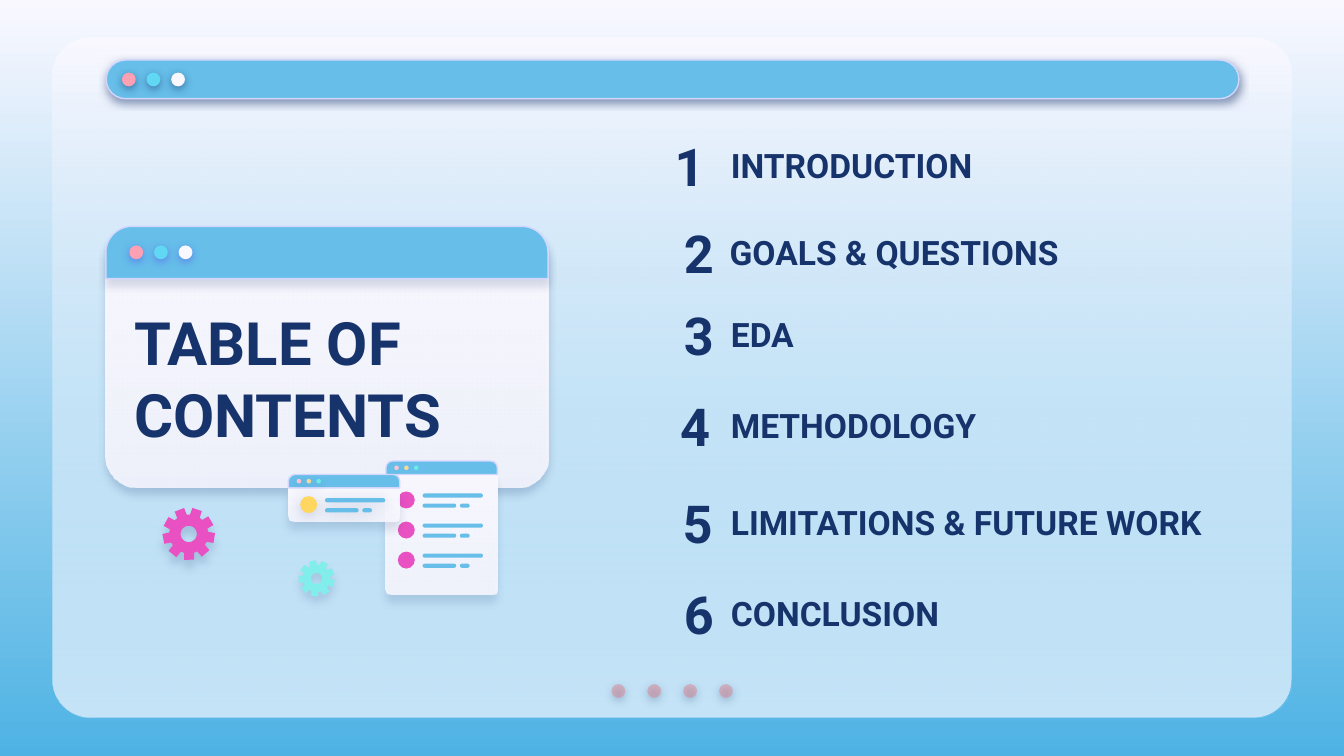
import math

from lxml import etree
from pptx import Presentation
from pptx.dml.color import RGBColor
from pptx.enum.shapes import MSO_SHAPE
from pptx.enum.text import MSO_ANCHOR, PP_ALIGN
from pptx.oxml.ns import qn
from pptx.util import Pt

ROUND, TOP_ROUND, OVAL = (MSO_SHAPE.ROUNDED_RECTANGLE,
                          MSO_SHAPE.ROUND_2_SAME_RECTANGLE, MSO_SHAPE.OVAL)
MIDDLE = MSO_ANCHOR.MIDDLE
LEFT, RIGHT = PP_ALIGN.LEFT, PP_ALIGN.RIGHT

NAVY, BLUE, WHITE, EDGE = "17336B", "66BEE9", "F9F8FF", "D2D6FF"
MAGENTA, YELLOW, MINT = "E951C2", "FFD65F", "81EEEB"
BUTTONS = ("FDA0B4", "60D8F4", WHITE)
SMALL_BUTTONS = ("FFC3D0", "F5D79B", "6AEBE7")
PAPER = (WHITE, WHITE, 87)
DEEP = (NAVY, 50, 4.5, 1.5)
ITEMS = [
    ("INTRODUCTION", 88.6, 384.5, 384.5),
    ("GOALS & QUESTIONS", 135.2, 389.5, 383.8),
    ("EDA", 179, 389.5, 384.5),
    ("METHODOLOGY", 228, 387.4, 384.5),
    ("LIMITATIONS & FUTURE WORK", 279.7, 388.8, 384.5),
    ("CONCLUSION", 328.5, 389.5, 384.5),
]


def rgb(value):
    return RGBColor.from_string(value)


def set_alpha(color, percent):
    etree.SubElement(color, qn("a:alpha"), val=str(percent * 1000))


def set_gradient(fill, start, end):
    fill.gradient()
    fill.gradient_angle = 270
    for stop, color, position in zip(fill.gradient_stops, (start, end), (0, 1)):
        stop.color.rgb = rgb(color)
        stop.position = position


def style(sp, fill, alpha=100, line=None, shadow=None):
    pr = sp._element.spPr
    if isinstance(fill, tuple):
        start, end, end_alpha = fill
        set_gradient(sp.fill, start, end)
        set_alpha(pr.findall(".//" + qn("a:srgbClr"))[-1], end_alpha)
    else:
        sp.fill.solid()
        sp.fill.fore_color.rgb = rgb(fill)
        if alpha < 100:
            set_alpha(pr.find(".//" + qn("a:srgbClr")), alpha)
    if line:
        sp.line.color.rgb = rgb(line)
        sp.line.width = Pt(0.75)
    else:
        sp.line.fill.background()
    sp.shadow.inherit = False
    if shadow:
        color, opacity, blur, distance = shadow
        outer = etree.SubElement(
            pr.find(qn("a:effectLst")), qn("a:outerShdw"), blurRad=str(Pt(blur)),
            dist=str(Pt(distance)), dir="5400000", algn="bl", rotWithShape="0")
        set_alpha(etree.SubElement(outer, qn("a:srgbClr"), val=color), opacity)


def add_box(s, kind, x, y, w, h, fill, adj=(), **look):
    sp = s.shapes.add_shape(kind, Pt(x), Pt(y), Pt(w), Pt(h))
    for i, value in enumerate(adj):
        sp.adjustments[i] = value
    style(sp, fill, **look)


def add_text(s, x, y, w, h, text, size, align=LEFT, right_inset=7.2):
    tf = s.shapes.add_textbox(Pt(x), Pt(y), Pt(w), Pt(h)).text_frame
    tf.word_wrap = True
    tf.vertical_anchor = MIDDLE
    tf.margin_left = tf.margin_top = tf.margin_bottom = Pt(7.2)
    tf.margin_right = Pt(right_inset)
    p = tf.paragraphs[0]
    p.text = text
    p.alignment = align
    p.font.name, p.font.size, p.font.bold = "Roboto", Pt(size), True
    p.font.color.rgb = rgb(NAVY)


def add_dots(s, x, y, size, pitch, colors, **look):
    for i, color in enumerate(colors):
        add_box(s, OVAL, x + i * pitch, y, size, size, color, **look)


def add_frame(s, x, y, w, h):
    add_box(s, ROUND, x, y, w, h, WHITE, [0.056])
    add_box(s, ROUND, x, y, w, h, (WHITE, BLUE, 35), [0.056])
    add_dots(s, x + 299.5, y + 346.3, 7.4, 19.2, ["E27B83"] * 4, alpha=44, shadow=DEEP)
    add_box(s, ROUND, x + 28.8, y + 12, w - 57, 20.7, BLUE, [0.5], line=EDGE, shadow=DEEP)
    add_dots(s, x + 37.2, y + 18.7, 7.4, 13.2, BUTTONS, shadow=DEEP)


def add_title_card(s, x, y, w, h):
    add_box(s, ROUND, x, y, w, h, PAPER, [0.124], shadow=(NAVY, 22, 4.5, 3.8))
    add_box(s, TOP_ROUND, x, y, w, 28, BLUE, [0.5, 0], line=EDGE, shadow=(NAVY, 15, 4.5, 3.8))
    add_dots(s, x + 12.6, y + 10.2, 7.4, 13.2, BUTTONS, shadow=("5352EE", 50, 4.5, 1.5))
    add_text(s, x + 8.1, y + 39.3, 223.2, 83.5, "TABLE OF CONTENTS", 32)


def add_window(s, x, y, w, h, first_row, rows, color, dot_shadow=None, row_shadow=None):
    bar = 7.2
    body = h - bar
    add_box(s, TOP_ROUND, x, y + bar, w, body, PAPER, [0, 3.6 / min(w, body)],
            shadow=(NAVY, 15, 4.5, 4.5))
    add_box(s, TOP_ROUND, x, y, w, bar, BLUE, [0.5, 0], line=EDGE)
    add_dots(s, x + 4.4, y + 2.4, 2.4, 5.3, SMALL_BUTTONS, shadow=dot_shadow)
    for i in range(rows):
        top = y + first_row + i * 16.1
        add_box(s, OVAL, x + 6.3, top, 9.1, 9.1, color, shadow=row_shadow)
        for dx, dy, length in ((19.6, 1.1, 32.3), (19.6, 6.5, 18), (39.6, 6.5, 5.2)):
            add_box(s, ROUND, x + dx, top + dy, length, 2.2, BLUE, [0.5], shadow=row_shadow)


def add_gear(s, x, y, size, color, turn, shadow):
    radius = size / 2

    def point(share, degrees):
        angle = math.radians(degrees)
        return (Pt(x + radius * (1 + share * math.cos(angle))),
                Pt(y + radius * (1 + share * math.sin(angle))))

    rim = [point(share, turn + tooth * 40 + offset) for tooth in range(9)
           for share, offset in ((0.74, -15), (1, -11), (1, 11), (0.74, 15))]
    hole = [point(0.31, -degrees) for degrees in range(0, 360, 15)]
    builder = s.shapes.build_freeform(*rim[0])
    builder.add_line_segments(rim[1:])
    builder.move_to(*hole[0])
    builder.add_line_segments(hole[1:])
    style(builder.convert_to_shape(), color, shadow=shadow)


def add_contents(s, items):
    for number, (label, center, number_right, label_left) in enumerate(items, 1):
        add_text(s, number_right - 77.8, center - 34, 77.8, 68, str(number), 28, RIGHT)
        add_text(s, label_left, center - 14.4, 266.4, 28.8, label, 18, right_inset=0)


def main():
    prs = Presentation()
    prs.slide_width, prs.slide_height = Pt(720), Pt(405)
    s = prs.slides.add_slide(prs.slide_layouts[6])
    set_gradient(s.background.fill, WHITE, "4EB3E4")
    add_frame(s, 28.1, 20.2, 663.8, 364.3)
    add_title_card(s, 56.7, 121.3, 236.9, 139.9)
    add_window(s, 206.8, 247, 59.7, 71.6, 16.3, 3, MAGENTA)
    add_window(s, 154.5, 254.2, 59.7, 25.2, 11.6, 1, YELLOW,
               (NAVY, 17, 4.5, 2.2), (NAVY, 18, 6.8, 1.5))
    add_gear(s, 87, 272, 28.2, MAGENTA, -111, (NAVY, 16, 4.5, 4.5))
    add_gear(s, 159.9, 300.1, 19.5, MINT, -103, (NAVY, 15, 4.5, 3.8))
    add_contents(s, ITEMS)
    prs.save("out.pptx")


if __name__ == "__main__":
    main()
